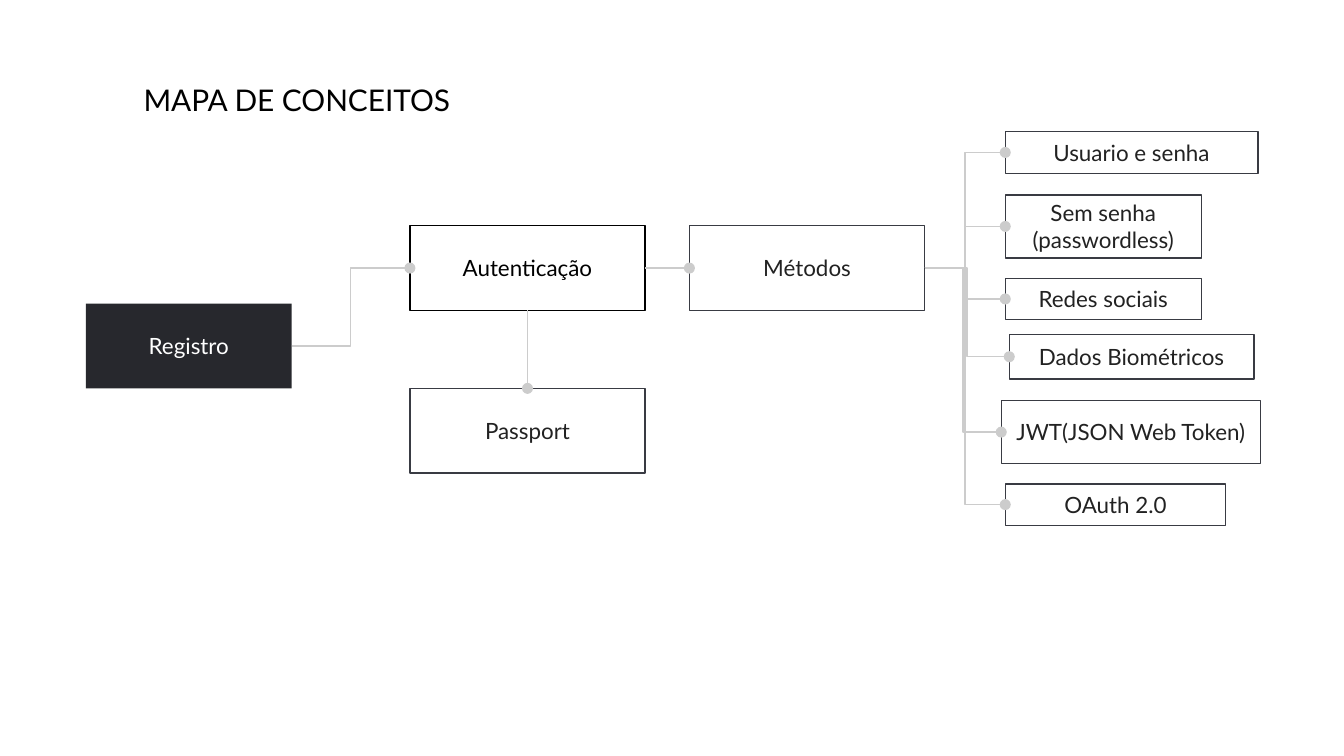
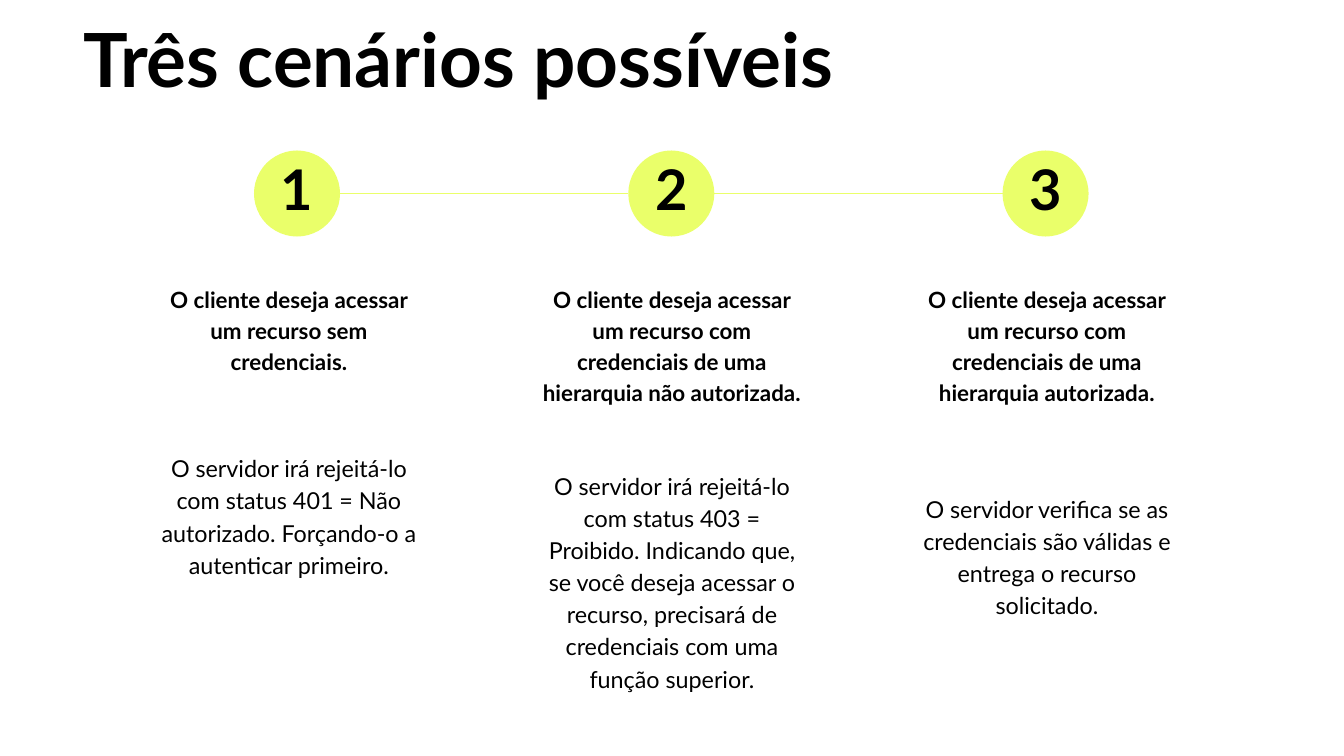
from lxml import etree
from pptx import Presentation
from pptx.dml.color import RGBColor
from pptx.enum.shapes import MSO_CONNECTOR as Connector, MSO_SHAPE as Shape
from pptx.enum.text import MSO_ANCHOR as Anchor, MSO_AUTO_SIZE as AutoSize, PP_ALIGN as Align
from pptx.oxml.ns import qn
from pptx.util import Inches, Pt

FONT = "Lato"
BLACK, WHITE, INK = "000000", "FFFFFF", "222222"
DARK, BORDER, LINK, LIME = "27282D", "393B43", "CCCCCC", "EAFF6A"
TOP, LEFT, BOTTOM, RIGHT = range(4)
SLIDE_WIDTH = 10
SLIDE_HEIGHT = SLIDE_WIDTH * 9 / 16

METHODS = [
    ("Usuario e senha", (7.48, 0.98, 1.88, 0.31)),
    ("Sem senha (passwordless)", (7.48, 1.45, 1.46, 0.47)),
    ("Redes sociais", (7.48, 2.07, 1.46, 0.31)),
    ("Dados Biométricos", (7.51, 2.49, 1.82, 0.33)),
    ("JWT(JSON Web Token)", (7.45, 2.98, 1.93, 0.47)),
    ("OAuth 2.0", (7.48, 3.6, 1.64, 0.31)),
]

SCENARIOS = [
    (1.08, "O cliente deseja acessar um recurso sem credenciais.", 0.87,
     "O servidor irá rejeitá-lo com status 401 = Não autorizado. "
     "Forçando-o a autenticar primeiro.", 3.25, 1.14),
    (3.93, "O cliente deseja acessar um recurso com credenciais de uma "
     "hierarquia não autorizada.", 1.33,
     "O servidor irá rejeitá-lo com status 403 = Proibido. Indicando que, "
     "se você deseja acessar o recurso, precisará de credenciais com uma "
     "função superior.", 3.38, 1.86),
    (6.72, "O cliente deseja acessar um recurso com credenciais de uma "
     "hierarquia autorizada.", 1.33,
     "O servidor verifica se as credenciais são válidas e entrega o "
     "recurso solicitado.", 3.55, 1.14),
]


def rgb(code):
    return RGBColor.from_string(code)


def inches(box):
    return [Inches(length) for length in box]


def write(frame, text, size, color=BLACK, bold=False, align=Align.LEFT, spacing=None):
    frame.word_wrap = True
    frame.margin_left = frame.margin_right = Inches(0.1)
    frame.margin_top = frame.margin_bottom = Inches(0.1)
    frame.text = text
    paragraph = frame.paragraphs[0]
    paragraph.alignment = align
    if spacing:
        paragraph.line_spacing = spacing
    font = paragraph.runs[0].font
    font.name, font.size, font.bold = FONT, Pt(size), bold
    font.color.rgb = rgb(color)


def add_text(slide, box, text, size, **style):
    frame = slide.shapes.add_textbox(*inches(box)).text_frame
    write(frame, text, size, **style)
    frame.auto_size = AutoSize.SHAPE_TO_FIT_TEXT


def add_figure(slide, kind, box, fill=None, border=None):
    figure = slide.shapes.add_shape(kind, *inches(box))
    figure.shadow.inherit = False
    if fill:
        figure.fill.solid()
        figure.fill.fore_color.rgb = rgb(fill)
    else:
        figure.fill.background()
    if border:
        figure.line.color.rgb = rgb(border)
        figure.line.width = Pt(0.75)
    else:
        figure.line.fill.background()
    return figure


def add_line(slide, kind, ends, color):
    line = slide.shapes.add_connector(kind, *inches(ends))
    line.line.color.rgb = rgb(color)
    line.line.width = Pt(0.75)
    etree.SubElement(line._element.spPr, qn("a:effectLst"))
    return line


def add_concept(slide, label, box, fill=None, border=BORDER, color=INK):
    concept = add_figure(slide, Shape.RECTANGLE, box, fill, border)
    write(concept.text_frame, label, 12, color, align=Align.CENTER)
    concept.text_frame.vertical_anchor = Anchor.MIDDLE
    return concept


def link(slide, source, target, kind=Connector.ELBOW, start=RIGHT, end=LEFT):
    connector = add_line(slide, kind, (0, 0, 0, 0), LINK)
    connector.begin_connect(source, start)
    connector.end_connect(target, end)
    outline = connector.line._get_or_add_ln()
    etree.SubElement(outline, qn("a:tailEnd"), type="oval")


def add_concept_map(slide):
    add_text(slide, (0.97, 0.51, 2.69, 0.47), "MAPA DE CONCEITOS", 16)
    register = add_concept(slide, "Registro", (0.64, 2.26, 1.53, 0.63), DARK, None, WHITE)
    login = add_concept(slide, "Autenticação", (3.05, 1.68, 1.75, 0.63), WHITE, BLACK, BLACK)
    methods = add_concept(slide, "Métodos", (5.13, 1.68, 1.75, 0.63))
    passport = add_concept(slide, "Passport", (3.05, 2.89, 1.75, 0.63))
    link(slide, register, login)
    link(slide, login, methods)
    link(slide, login, passport, Connector.STRAIGHT, BOTTOM, TOP)
    for label, box in METHODS:
        link(slide, methods, add_concept(slide, label, box))


def add_scenario(slide, center, number, scenario):
    left, request, request_height, answer, answer_top, answer_height = scenario
    width, diameter, number_width = 2.14, 0.64, 0.45
    add_figure(slide, Shape.OVAL, (center - diameter / 2, 1.12, diameter, diameter), LIME)
    add_text(slide, (center - number_width / 2, 1.11, number_width, 0.66), str(number), 30,
             bold=True, align=Align.CENTER, spacing=0.9)
    add_text(slide, (left, 2, width, request_height), request, 12,
             bold=True, align=Align.CENTER, spacing=1.15)
    add_text(slide, (left, answer_top, width, answer_height), answer, 12.5,
             align=Align.CENTER, spacing=1.15)


def add_scenarios(slide):
    add_text(slide, (0.52, 0.07, 8.9, 0.81), "Três cenários possíveis", 40,
             bold=True, spacing=0.9)
    first, last, radius = 2.21, 7.78, 0.32
    centers = [first, (first + last) / 2, last]
    for number, (center, scenario) in enumerate(zip(centers, SCENARIOS), 1):
        add_scenario(slide, center, number, scenario)
    for start, end in zip(centers, centers[1:]):
        add_line(slide, Connector.STRAIGHT, (start + radius, 1.44, end - radius, 1.44), LIME)


def main():
    deck = Presentation()
    deck.slide_width, deck.slide_height = Inches(SLIDE_WIDTH), Inches(SLIDE_HEIGHT)
    for fill_slide in (add_concept_map, add_scenarios):
        slide = deck.slides.add_slide(deck.slide_layouts[6])
        slide.background.fill.solid()
        slide.background.fill.fore_color.rgb = rgb(WHITE)
        fill_slide(slide)
    deck.save("out.pptx")


if __name__ == "__main__":
    main()
